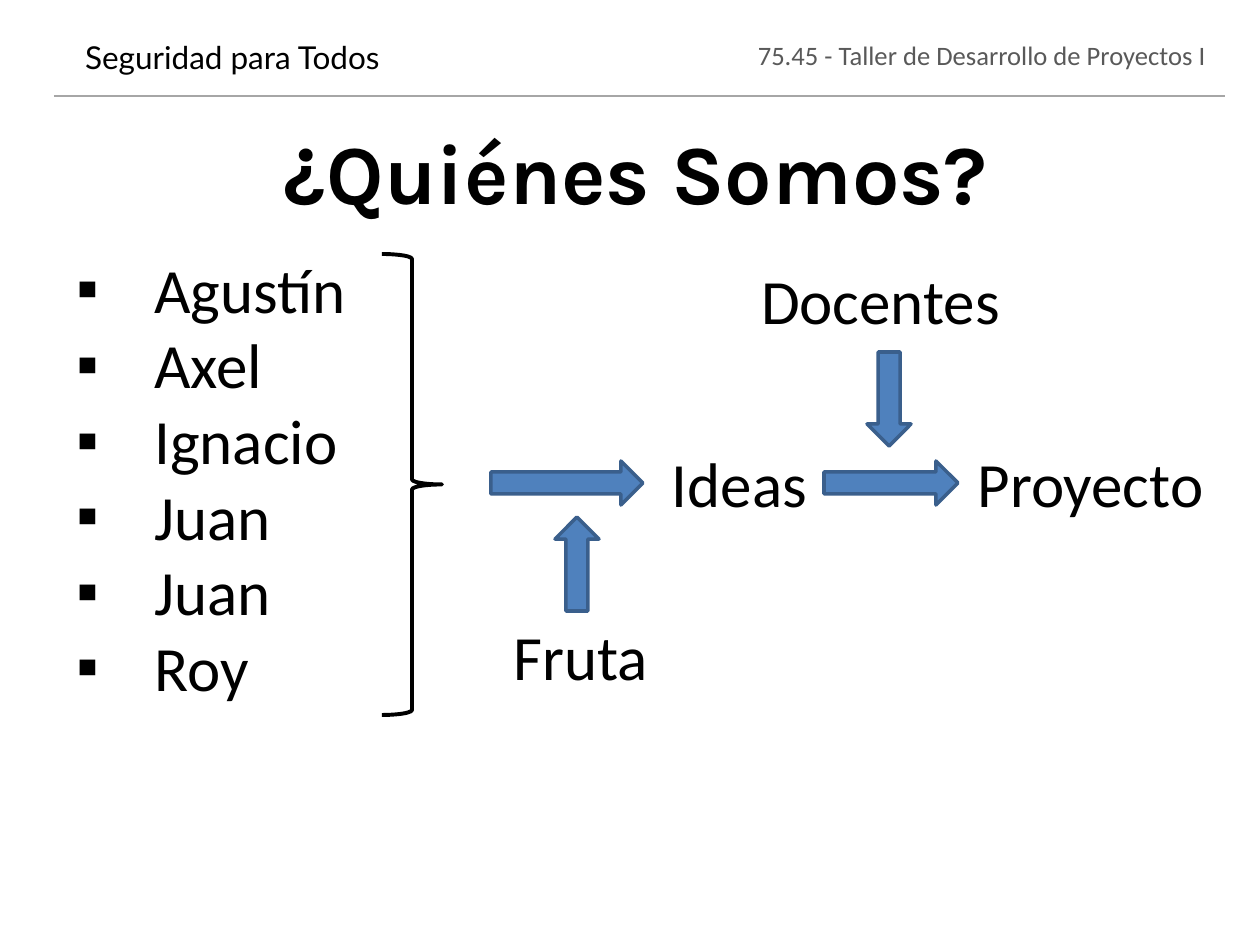
from typing import NamedTuple

from lxml import etree
from pptx import Presentation
from pptx.dml.color import RGBColor
from pptx.enum.shapes import MSO_CONNECTOR, MSO_SHAPE
from pptx.enum.text import MSO_ANCHOR, MSO_AUTO_SIZE, PP_ALIGN
from pptx.oxml.ns import qn
from pptx.util import Emu, Pt

PX_PER_INCH = 126
LEFT, CENTER = PP_ALIGN.LEFT, PP_ALIGN.CENTER
TOP, MIDDLE = MSO_ANCHOR.TOP, MSO_ANCHOR.MIDDLE
NO_AUTO_SIZE = MSO_AUTO_SIZE.NONE
RIGHT_ARROW, RIGHT_BRACE = MSO_SHAPE.RIGHT_ARROW, MSO_SHAPE.RIGHT_BRACE
STRAIGHT = MSO_CONNECTOR.STRAIGHT

BLACK, DARK_GRAY, RULE_GRAY = "000000", "595959", "A6A6A6"
ARROW_FILL, ARROW_LINE = "4F81BD", "3A5F8C"
BULLET_INDENT = 78


class Box(NamedTuple):
    left: int
    top: int
    width: int
    height: int


class Style(NamedTuple):
    size: float
    font: str = "Calibri"
    color: str = BLACK
    bold: bool = False
    align: PP_ALIGN = CENTER
    anchor: MSO_ANCHOR = TOP


class Label(NamedTuple):
    text: str
    box: Box
    style: Style


class Arrow(NamedTuple):
    box: Box
    rotation: int = 0


def px(length: int) -> Emu:
    return Emu(round(length * 914400 / PX_PER_INCH))


def rgb(value: str) -> RGBColor:
    return RGBColor.from_string(value)


def place(box: Box) -> list[Emu]:
    return [px(length) for length in box]


def write(shape, text: str, style: Style) -> None:
    frame = shape.text_frame
    frame.text = text
    frame.word_wrap = True
    frame.auto_size = NO_AUTO_SIZE
    frame.vertical_anchor = style.anchor
    for para in frame.paragraphs:
        para.alignment = style.align
        for span in para.runs:
            span.font.size = Pt(style.size)
            span.font.name = style.font
            span.font.bold = style.bold
            span.font.color.rgb = rgb(style.color)


def add_label(page, label: Label):
    shape = page.shapes.add_textbox(*place(label.box))
    write(shape, label.text, label.style)
    return shape


def add_bullets(shape) -> None:
    for para in shape.text_frame.paragraphs:
        properties = para._p.get_or_add_pPr()
        properties.set("marL", str(px(BULLET_INDENT)))
        properties.set("indent", str(-px(BULLET_INDENT)))
        etree.SubElement(properties, qn("a:buFont")).set("typeface", "Arial")
        etree.SubElement(properties, qn("a:buChar")).set("char", "▪")


def add_arrow(page, arrow: Arrow) -> None:
    shape = page.shapes.add_shape(RIGHT_ARROW, *place(arrow.box))
    shape.rotation = arrow.rotation
    shape.shadow.inherit = False
    shape.fill.solid()
    shape.fill.fore_color.rgb = rgb(ARROW_FILL)
    shape.line.color.rgb = rgb(ARROW_LINE)
    shape.line.width = Pt(2)


def add_brace(page, box: Box) -> None:
    brace = page.shapes.add_shape(RIGHT_BRACE, *place(box))
    brace.shadow.inherit = False
    brace.fill.background()
    brace.line.color.rgb = rgb(BLACK)
    brace.line.width = Pt(2.25)


def add_rule(page, left: int, right: int, top: int) -> None:
    rule = page.shapes.add_connector(STRAIGHT, px(left), px(top), px(right), px(top))
    rule.line.color.rgb = rgb(RULE_GRAY)
    rule.line.width = Pt(0.75)
    etree.SubElement(rule._element.spPr, qn("a:effectLst"))


HEADING = Style(48, font="Karla", bold=True, anchor=MIDDLE)
STEP = Style(36)
MEMBERS = ["Agustín", "Axel", "Ignacio", "Juan", "Juan", "Roy"]

HEADERS = [
    Label("Seguridad para Todos", Box(44, 37, 377, 39),
          Style(18, font="Lato", anchor=MIDDLE)),
    Label("75.45 - Taller de Desarrollo de Proyectos I", Box(709, 33, 546, 53),
          Style(15.2, color=DARK_GRAY)),
]
STEPS = [
    Label("Ideas", Box(654, 438, 171, 89), STEP),
    Label("Proyecto", Box(937, 438, 307, 89), STEP),
    Label("Docentes", Box(572, 255, 617, 89), STEP),
    Label("Fruta", Box(382, 611, 397, 89), STEP),
]
ARROWS = [
    Arrow(Box(491, 461, 152, 44)),
    Arrow(Box(824, 461, 134, 44)),
    Arrow(Box(842, 377, 94, 44), rotation=90),
    Arrow(Box(530, 542, 94, 44), rotation=270),
]


def main() -> None:
    deck = Presentation()
    deck.slide_width, deck.slide_height = px(1260), px(945)
    page = deck.slides.add_slide(deck.slide_layouts[5])

    # Title and running header
    title = page.shapes.title
    title.left, title.top, title.width, title.height = place(Box(234, 116, 803, 110))
    write(title, "¿Quiénes Somos?", HEADING)
    for header in HEADERS:
        add_label(page, header)
    add_rule(page, 54, 1225, 96)

    # Team members gathered by a brace
    members = Label("\n".join(MEMBERS), Box(64, 244, 377, 471), Style(36, align=LEFT))
    add_bullets(add_label(page, members))
    add_brace(page, Box(382, 254, 60, 461))

    # Flow from the team to the project
    for step in STEPS:
        add_label(page, step)
    for arrow in ARROWS:
        add_arrow(page, arrow)

    deck.save("out.pptx")


if __name__ == "__main__":
    main()
